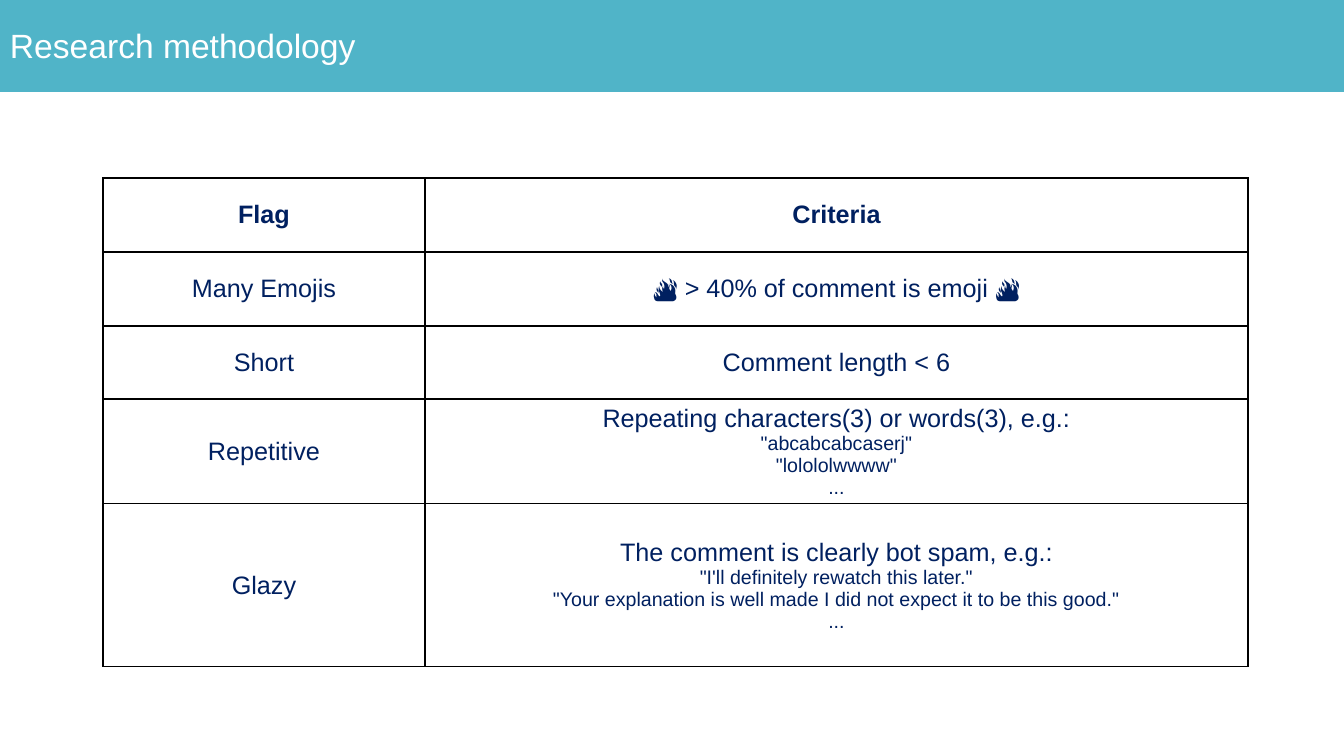
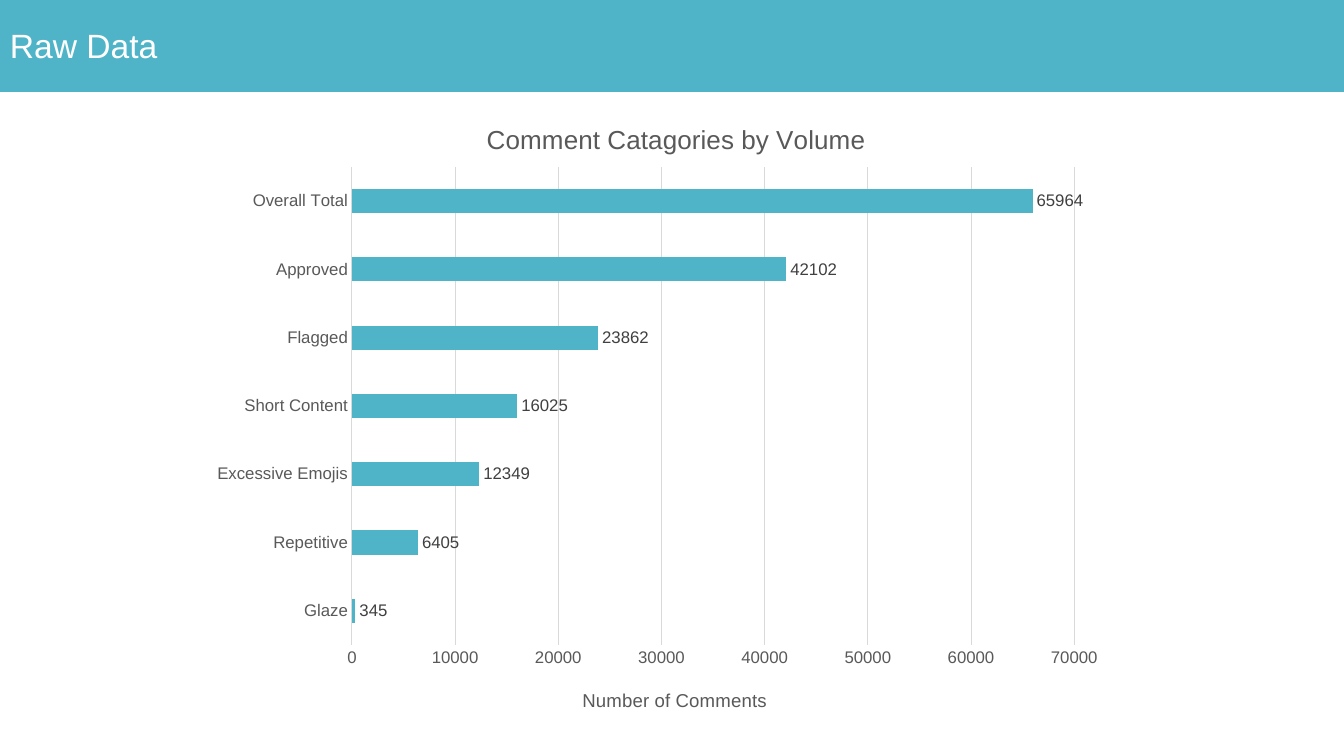
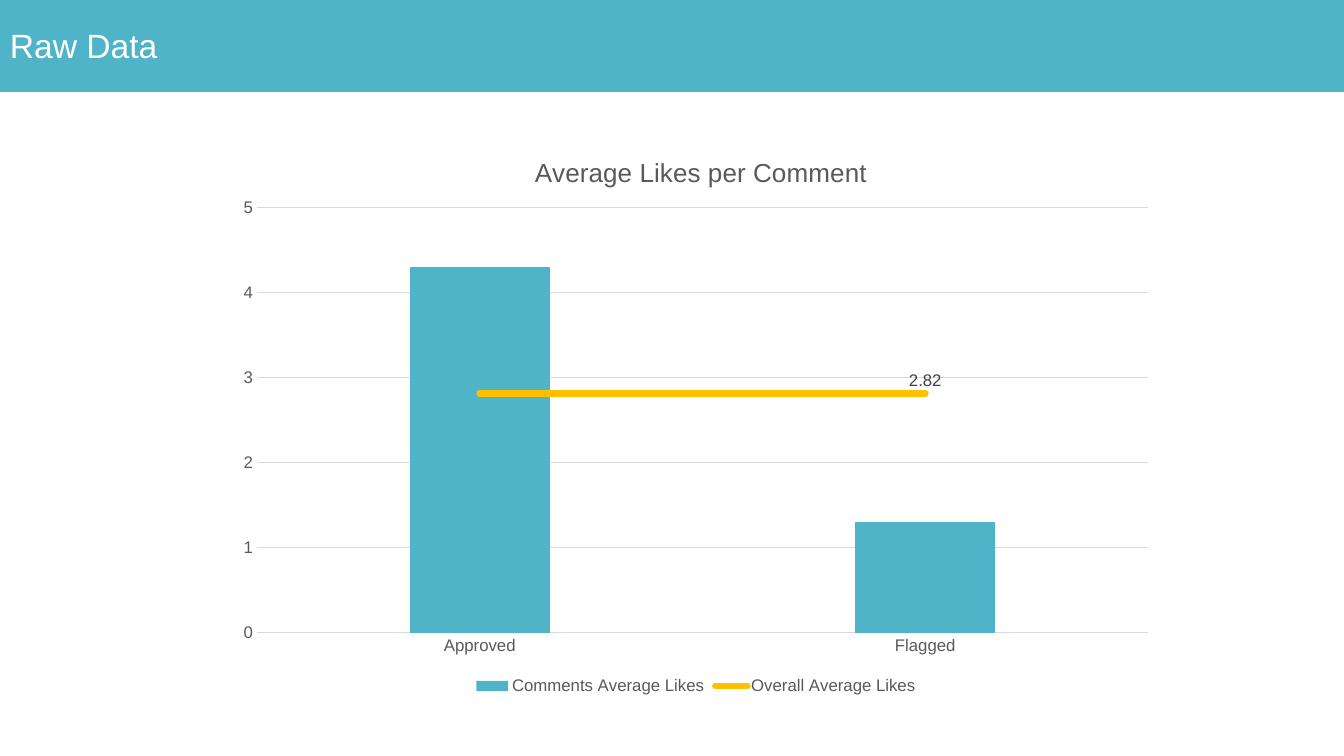
from pptx import Presentation
from pptx.chart.data import CategoryChartData
from pptx.dml.color import RGBColor
from pptx.enum.chart import XL_CHART_TYPE, XL_LABEL_POSITION, XL_LEGEND_POSITION, XL_MARKER_STYLE, XL_TICK_MARK
from pptx.enum.shapes import MSO_SHAPE
from pptx.enum.text import MSO_ANCHOR, PP_ALIGN
from pptx.oxml import parse_xml
from pptx.oxml.ns import nsdecls
from pptx.util import Emu, Pt

FONT = "Arial"
COLORS = {
    "teal": "50B4C8",
    "navy": "002060",
    "amber": "FFC000",
    "white": "FFFFFF",
    "black": "000000",
    "axis_text": "595959",
    "label_text": "404040",
    "grid": "D9D9D9",
}
RGB = {name: RGBColor.from_string(value) for name, value in COLORS.items()}


def px(length):
    return Emu(round(length * 914400 / 100.8))


def style_chart(frame, title, gap_width, plot_box, title_corner, axis_title=None, axis_title_corner=None):
    """Style titles, axes and bars; place the parts by slide coordinates in px."""
    chart = frame.chart
    chart.font.name = FONT
    chart.font.size = Pt(10)
    chart.has_title = True
    chart.has_legend = False
    titles = [(chart.chart_title, title, 18.6)]
    if axis_title:
        titles.append((chart.value_axis.axis_title, axis_title, 13.3))
    for holder, words, size in titles:
        run = holder.text_frame.paragraphs[0].add_run()
        run.text = words
        run.font.name = FONT
        run.font.size = Pt(size)
        run.font.bold = False
        run.font.color.rgb = RGB["axis_text"]

    for axis in (chart.category_axis, chart.value_axis):
        axis.major_tick_mark = axis.minor_tick_mark = XL_TICK_MARK.NONE
        axis.tick_labels.font.name = FONT
        axis.tick_labels.font.size = Pt(12)
        axis.tick_labels.font.color.rgb = RGB["axis_text"]
    chart.value_axis.format.line.fill.background()
    chart.category_axis.has_major_gridlines = False
    chart.value_axis.has_major_gridlines = True
    for line in (chart.category_axis.format.line, chart.value_axis.major_gridlines.format.line):
        line.color.rgb = RGB["grid"]
        line.width = Pt(0.75)

    bars = chart.plots[0]
    bars.gap_width = gap_width
    bars.vary_by_categories = False
    bars.series[0].format.fill.solid()
    bars.series[0].format.fill.fore_color.rgb = RGB["teal"]

    # Manual layout, as fractions of the chart frame
    placements = [("c:chart/c:plotArea", 0, plot_box), ("c:chart/c:title", 1, title_corner)]
    if axis_title:
        placements.append(("c:chart/c:plotArea/c:valAx/c:title", 1, axis_title_corner))
    for query, index, box in placements:
        parent = chart.element.xpath(query)[0]
        for old_layout in parent.xpath("c:layout"):
            parent.remove(old_layout)
        fractions = [px(box[0]) - frame.left, px(box[1]) - frame.top, *map(px, box[2:])]
        sides = (frame.width, frame.height) * 2
        values = "".join(
            f'<c:{tag} val="{fraction / side:.4f}"/>'
            for tag, fraction, side in zip("xywh", fractions, sides)
        )
        target = '<c:layoutTarget val="inner"/>' if len(box) == 4 else ""
        parent.insert(index, parse_xml(
            f'<c:layout {nsdecls("c")}><c:manualLayout>{target}'
            f'<c:xMode val="edge"/><c:yMode val="edge"/>{values}</c:manualLayout></c:layout>'
        ))
    return chart


presentation = Presentation()
presentation.slide_width = px(1344)
presentation.slide_height = px(756)

# Slides with the shared title band
slides = []
for title in ("Research methodology", "Raw Data", "Raw Data"):
    slide = presentation.slides.add_slide(presentation.slide_layouts[6])
    band = slide.shapes.add_shape(MSO_SHAPE.RECTANGLE, 0, 0, px(1344), px(91))
    band.shadow.inherit = False
    band.fill.solid()
    band.fill.fore_color.rgb = RGB["teal"]
    band.line.color.rgb = RGB["teal"]
    band.line.width = Pt(1)
    band.text_frame.word_wrap = True
    band.text_frame.vertical_anchor = MSO_ANCHOR.MIDDLE
    paragraph = band.text_frame.paragraphs[0]
    paragraph.alignment = PP_ALIGN.LEFT
    run = paragraph.add_run()
    run.text = title
    run.font.name = FONT
    run.font.size = Pt(24)
    run.font.color.rgb = RGB["white"]
    slides.append(slide)
table_slide, volume_slide, likes_slide = slides

# Slide 1: flag criteria table; the first line of a cell is larger
rows = [
    ("Flag", ["Criteria"]),
    ("Many Emojis", ["🔥 > 40% of comment is emoji 🔥"]),
    ("Short", ["Comment length < 6"]),
    ("Repetitive", [
        "Repeating characters(3) or words(3), e.g.:",
        '"abcabcabcaserj"',
        '"lolololwwww"',
        "...",
    ]),
    ("Glazy", [
        "The comment is clearly bot spam, e.g.:",
        '"I\'ll definitely rewatch this later."',
        '"Your explanation is well made I did not expect it to be this good."',
        "...",
    ]),
]
column_widths = (322, 823)
row_heights = (74, 74, 73, 105, 163)
table = table_slide.shapes.add_table(
    len(rows), 2, px(103), px(178), px(sum(column_widths)), px(sum(row_heights))
).table
table.first_row = table.horz_banding = False
for column, width in zip(table.columns, column_widths):
    column.width = px(width)
for row_index, (flag, criteria) in enumerate(rows):
    table.rows[row_index].height = px(row_heights[row_index])
    for column_index, lines in enumerate(([flag], criteria)):
        cell = table.cell(row_index, column_index)
        cell.vertical_anchor = MSO_ANCHOR.MIDDLE
        cell.fill.solid()
        cell.fill.fore_color.rgb = RGB["white"]
        for position, side in enumerate("LRTB"):
            cell._tc.get_or_add_tcPr().insert(position, parse_xml(
                f'<a:ln{side} {nsdecls("a")} w="12700"><a:solidFill>'
                f'<a:srgbClr val="{COLORS["black"]}"/></a:solidFill></a:ln{side}>'
            ))
        for line_index, line in enumerate(lines):
            frame = cell.text_frame
            paragraph = frame.add_paragraph() if line_index else frame.paragraphs[0]
            paragraph.alignment = PP_ALIGN.CENTER
            run = paragraph.add_run()
            run.text = line
            run.font.name = FONT
            run.font.size = Pt(14 if line_index else 18)
            run.font.bold = row_index == 0
            run.font.color.rgb = RGB["navy"]

# Slide 2: comment volume bars
volumes = {
    "Glaze": 345,
    "Repetitive": 6405,
    "Excessive Emojis": 12349,
    "Short Content": 16025,
    "Flagged": 23862,
    "Approved": 42102,
    "Overall Total": 65964,
}
volume_data = CategoryChartData()
volume_data.categories = list(volumes)
volume_data.add_series("Series 1", list(volumes.values()))
volume_frame = volume_slide.shapes.add_chart(
    XL_CHART_TYPE.BAR_CLUSTERED, px(198), px(91), px(947), px(638), volume_data
)
volume_chart = style_chart(
    volume_frame, "Comment Catagories by Volume", 182, (352, 167, 774, 478), (482, 117),
    "Number of Comments", (579, 685),
)
volume_chart.value_axis.minimum_scale = 0
volume_chart.value_axis.maximum_scale = 75000
volume_chart.value_axis.major_unit = 10000
labels = volume_chart.plots[0].series[0].data_labels
labels.show_value = True
labels.position = XL_LABEL_POSITION.OUTSIDE_END
labels.font.name = FONT
labels.font.size = Pt(12)
labels.font.color.rgb = RGB["label_text"]

# Slide 3: average likes columns with an overall average line
likes_data = CategoryChartData()
likes_data.categories = ["Approved", "Flagged"]
likes_data.add_series("Comments Average Likes", [4.3, 1.3])
likes_data.add_series("Overall Average Likes", [2.82, 2.82])
likes_frame = likes_slide.shapes.add_chart(
    XL_CHART_TYPE.COLUMN_CLUSTERED, px(225), px(126), px(942), px(573), likes_data
)
likes_chart = style_chart(
    likes_frame, "Average Likes per Comment", 219, (257, 208, 891, 425), (530, 150)
)
likes_chart.value_axis.minimum_scale = 0
likes_chart.value_axis.maximum_scale = 5
likes_chart.value_axis.major_unit = 1
likes_chart.has_legend = True
likes_chart.legend.position = XL_LEGEND_POSITION.BOTTOM
likes_chart.legend.include_in_layout = False
likes_chart.legend.font.name = FONT
likes_chart.legend.font.size = Pt(12)
likes_chart.legend.font.color.rgb = RGB["axis_text"]

# Move the second series into a line plot on the same axes
bar_plot = likes_chart.element.xpath("//c:barChart")[0]
average_series = bar_plot.xpath("c:ser")[1]
for element in average_series.xpath("c:invertIfNegative"):
    average_series.remove(element)
axis_ids = "".join(f'<c:axId val="{axis.get("val")}"/>' for axis in bar_plot.xpath("c:axId"))
line_plot = parse_xml(
    f'<c:lineChart {nsdecls("c")}><c:grouping val="standard"/><c:varyColors val="0"/>'
    f'<c:marker val="1"/>{axis_ids}</c:lineChart>'
)
line_plot.insert(2, average_series)
bar_plot.addnext(line_plot)

average = likes_chart.plots[1].series[0]
average.smooth = False
average.marker.style = XL_MARKER_STYLE.NONE
average.format.line.color.rgb = RGB["amber"]
average.format.line.width = Pt(5)
average_series.xpath("c:spPr/a:ln")[0].set("cap", "rnd")
average.data_labels.show_value = False
label = average.points[1].data_label
label.font.name = FONT
label.font.size = Pt(12)
label.font.color.rgb = RGB["label_text"]
label.position = XL_LABEL_POSITION.ABOVE

presentation.save("out.pptx")
